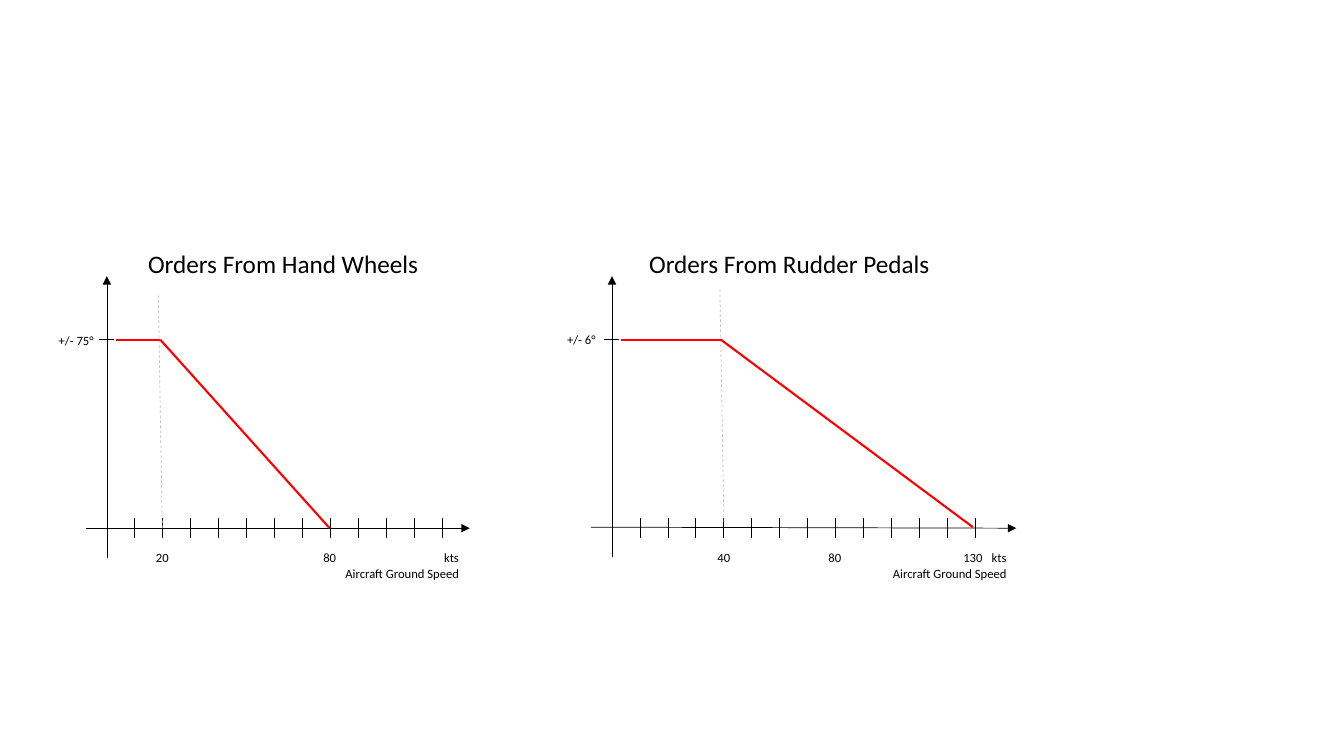
"""Build a slide with two steering order graphs against aircraft ground speed."""
from pptx import Presentation
from pptx.dml.color import RGBColor
from pptx.enum.dml import MSO_LINE_DASH_STYLE as Dash
from pptx.enum.shapes import MSO_CONNECTOR as Connector
from pptx.enum.text import MSO_AUTO_SIZE as AutoSize, PP_ALIGN as Align
from pptx.oxml.ns import qn
from pptx.util import Inches, Pt
from lxml.etree import SubElement

GRAPHS = [
    {
        "title": "Orders From Hand Wheels", "title_left": 1.37,
        "limit": "+/- 75°", "limit_top": 3.25,
        "axis_x": 1.06, "axis_start": (0.85, 5.24), "axis_end": (4.66, 5.24),
        "foot": 5.54, "ticks": 12, "speeds": {20: 1.61, 80: 3.27},
        "guide": [(1.61, 5.24), (1.57, 2.92)],
        "curve": [(1.15, 3.37), (1.59, 3.37), (3.27, 5.24)],
        "caption_left": 3.31,
    },
    {
        "title": "Orders From Rudder Pedals", "title_left": 6.34,
        "limit": "+/- 6°", "limit_top": 3.24,
        "axis_x": 6.07, "axis_start": (5.86, 5.23), "axis_end": (10.08, 5.24),
        "foot": 5.53, "ticks": 13, "speeds": {40: 7.18, 80: 8.28, 130: 9.65},
        "guide": [(7.18, 5.18), (7.14, 2.87)],
        "curve": [(6.16, 3.37), (7.15, 3.37), (9.65, 5.23)],
        "caption_left": 8.74,
    },
]
CAPTION = "kts\nAircraft Ground Speed"

THEME = {
    "font": "Calibri", "text": "000000", "title_size": 18, "label_size": 9,
    "axis": {"color": "000000", "width": 0.5},
    "guide": {"color": "BFBFBF", "width": 0.5, "dash": Dash.DASH},
    "curve": {"color": "FF0000", "width": 1.5},
}
TICK_GAP = 3.05 / 11
AXIS_TOP, LIMIT_Y = 2.74, 3.37
TICK_TOP, TICK_BOTTOM = 5.14, 5.34
LABEL_TOP, LABEL_WIDTH, LABEL_HEIGHT = 5.41, 0.44, 0.25


def add_line(page, start, end, style, arrow=False):
    line = page.shapes.add_connector(
        Connector.STRAIGHT, *(Inches(value) for value in (*start, *end)))
    line.line.color.rgb = RGBColor.from_string(style["color"])
    line.line.width = Pt(style["width"])
    if "dash" in style:
        line.line.dash_style = style["dash"]
    properties = line._element.spPr
    if arrow:
        SubElement(properties.find(qn("a:ln")), qn("a:tailEnd"), type="triangle")
    SubElement(properties, qn("a:effectLst"))


def add_text(page, text, area, size, align):
    box = page.shapes.add_textbox(*(Inches(value) for value in area))
    frame = box.text_frame
    frame.word_wrap = align != Align.CENTER
    frame.auto_size = AutoSize.SHAPE_TO_FIT_TEXT
    para = frame.paragraphs[0]
    para.text = text
    para.alignment = align
    font_format = {"name": THEME["font"], "size": Pt(size)}
    for span in para.runs:
        for name, value in font_format.items():
            setattr(span.font, name, value)
        span.font.color.rgb = RGBColor.from_string(THEME["text"])


def draw_graph(page, graph):
    axis_x = graph["axis_x"]
    axis, small = THEME["axis"], THEME["label_size"]
    add_line(page, graph["axis_start"], graph["axis_end"], axis, arrow=True)
    add_line(page, (axis_x, graph["foot"]), (axis_x, AXIS_TOP), axis, arrow=True)
    for number in range(1, graph["ticks"] + 1):
        tick_x = axis_x + number * TICK_GAP
        add_line(page, (tick_x, TICK_TOP), (tick_x, TICK_BOTTOM), axis)
    for speed, center in graph["speeds"].items():
        area = (center - LABEL_WIDTH / 2, LABEL_TOP, LABEL_WIDTH, LABEL_HEIGHT)
        add_text(page, str(speed), area, small, Align.CENTER)
    add_text(page, CAPTION, (graph["caption_left"], LABEL_TOP, 1.34, 0.4),
             small, Align.RIGHT)
    add_line(page, (axis_x + 0.07, LIMIT_Y), (axis_x - 0.08, LIMIT_Y), axis)
    add_text(page, graph["limit"],
             (axis_x - 0.58, graph["limit_top"], 0.55, LABEL_HEIGHT),
             small, Align.CENTER)
    add_line(page, *graph["guide"], THEME["guide"])
    for start, end in zip(graph["curve"], graph["curve"][1:]):
        add_line(page, start, end, THEME["curve"])
    add_text(page, graph["title"], (graph["title_left"], 2.41, 3.44, 0.4),
             THEME["title_size"], Align.LEFT)


def main():
    deck = Presentation()
    deck.slide_width, deck.slide_height = Inches(13.33), Inches(7.5)
    page = deck.slides.add_slide(deck.slide_layouts[6])
    for graph in GRAPHS:
        draw_graph(page, graph)
    deck.save("out.pptx")


if __name__ == "__main__":
    main()
